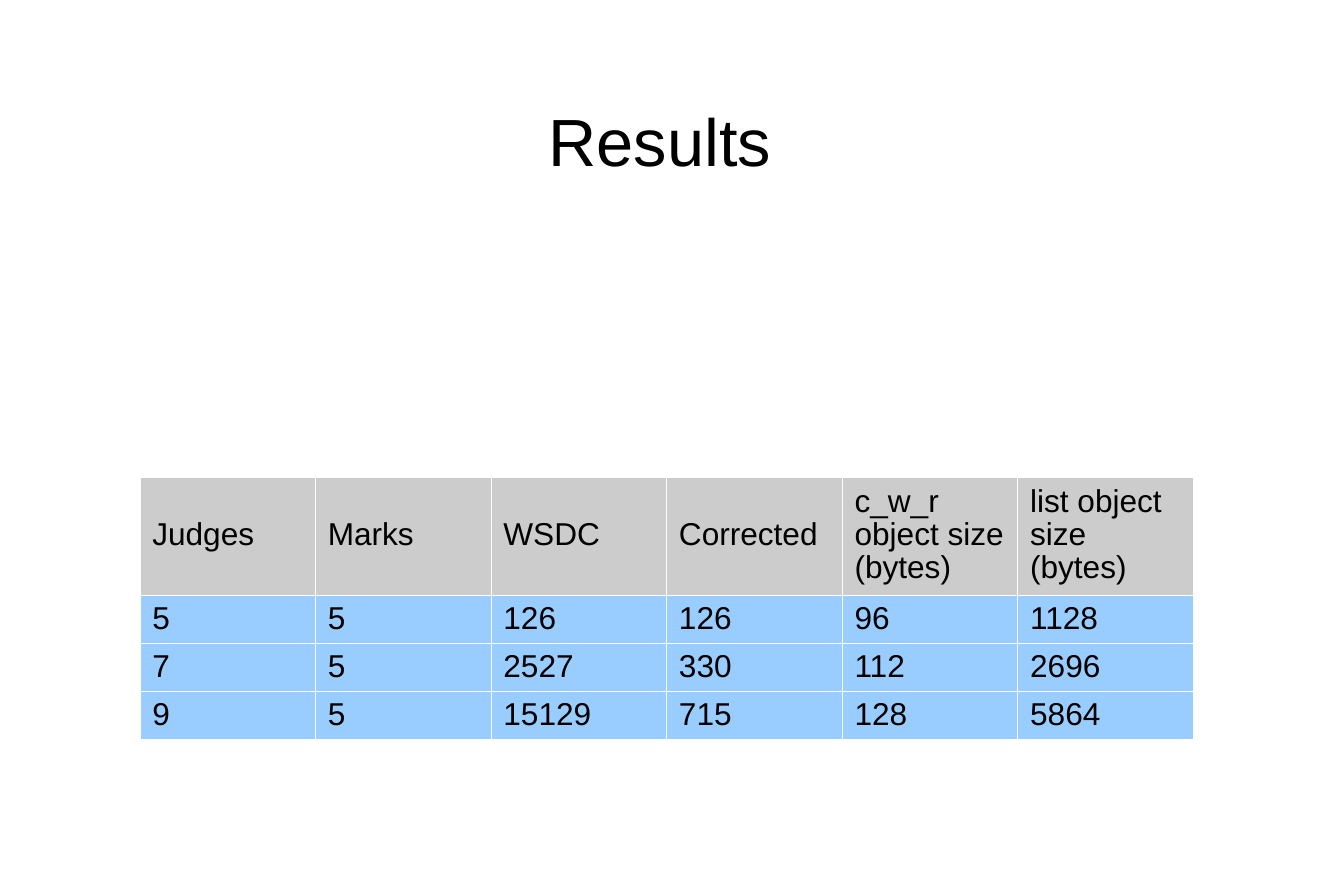
from dataclasses import dataclass

from lxml import etree
from pptx import Presentation
from pptx.dml.color import RGBColor
from pptx.enum.text import MSO_ANCHOR, PP_ALIGN
from pptx.oxml.ns import qn
from pptx.slide import Slide
from pptx.table import _Cell
from pptx.text.text import TextFrame
from pptx.util import Pt

LEFT, CENTER = PP_ALIGN.LEFT, PP_ALIGN.CENTER
MIDDLE = MSO_ANCHOR.MIDDLE


@dataclass(frozen=True)
class Theme:
    font: str = "Arial"
    ink: str = "000000"
    head: str = "CCCCCC"
    body: str = "99CCFF"
    rule: str = "FFFFFF"
    title: float = 38
    text: float = 18
    line: float = 0.06
    pitch: float = 0.93


@dataclass(frozen=True)
class Row:
    cells: tuple[str, ...]
    fill: str
    height: float


THEME = Theme()
HEADS = ("Judges", "Marks", "WSDC", "Corrected",
         "c_w_r object size (bytes)", "list object size (bytes)")
COUNTS = (
    (5, 5, 126, 126, 96, 1128),
    (7, 5, 2527, 330, 112, 2696),
    (9, 5, 15129, 715, 128, 5864),
)
ROWS = [Row(HEADS, THEME.head, 64.5)] + [
    Row(tuple(map(str, line)), THEME.body, 27.3) for line in COUNTS
]
COLUMN = 100


def write(frame: TextFrame, text: str, *, size: float = THEME.text,
          align: PP_ALIGN = LEFT) -> None:
    frame.word_wrap = True
    para = frame.paragraphs[0]
    para.alignment = align
    para.line_spacing = THEME.pitch
    run = para.add_run()
    run.text = text
    run.font.name = THEME.font
    run.font.size = Pt(size)
    run.font.color.rgb = RGBColor.from_string(THEME.ink)


def border(cell: _Cell) -> None:
    props = cell._tc.get_or_add_tcPr()
    for spot, side in enumerate(("lnL", "lnR", "lnT", "lnB")):
        line = etree.Element(qn(f"a:{side}"), w=str(Pt(THEME.line)))
        fill = etree.SubElement(line, qn("a:solidFill"))
        etree.SubElement(fill, qn("a:srgbClr"), val=THEME.rule)
        props.insert(spot, line)


def add_title(slide: Slide, text: str) -> None:
    frame = slide.shapes.add_textbox(
        Pt(54.7), Pt(46.1), Pt(642.2), Pt(69.1)).text_frame
    frame.margin_left = frame.margin_right = frame.margin_bottom = 0
    frame.margin_top = Pt(2.9)
    frame.vertical_anchor = MIDDLE
    write(frame, text, size=THEME.title, align=CENTER)


def add_grid(slide: Slide, rows: list[Row]) -> None:
    count = len(HEADS)
    table = slide.shapes.add_table(
        len(rows), count, Pt(79.5), Pt(271.6), Pt(COLUMN * count),
        Pt(sum(row.height for row in rows))).table
    table.horz_banding = False
    for column in table.columns:
        column.width = Pt(COLUMN)
    for index, row in enumerate(rows):
        table.rows[index].height = Pt(row.height)
        for cell, text in zip(table.rows[index].cells, row.cells):
            cell.fill.solid()
            cell.fill.fore_color.rgb = RGBColor.from_string(row.fill)
            cell.vertical_anchor = MIDDLE
            border(cell)
            write(cell.text_frame, text)


def main() -> None:
    """Build the slide with the table of results."""
    deck = Presentation()
    deck.slide_width, deck.slide_height = Pt(765.36), Pt(510.48)
    slide = deck.slides.add_slide(deck.slide_layouts[6])
    add_title(slide, "Results")
    add_grid(slide, ROWS)
    deck.save("out.pptx")


if __name__ == "__main__":
    main()
